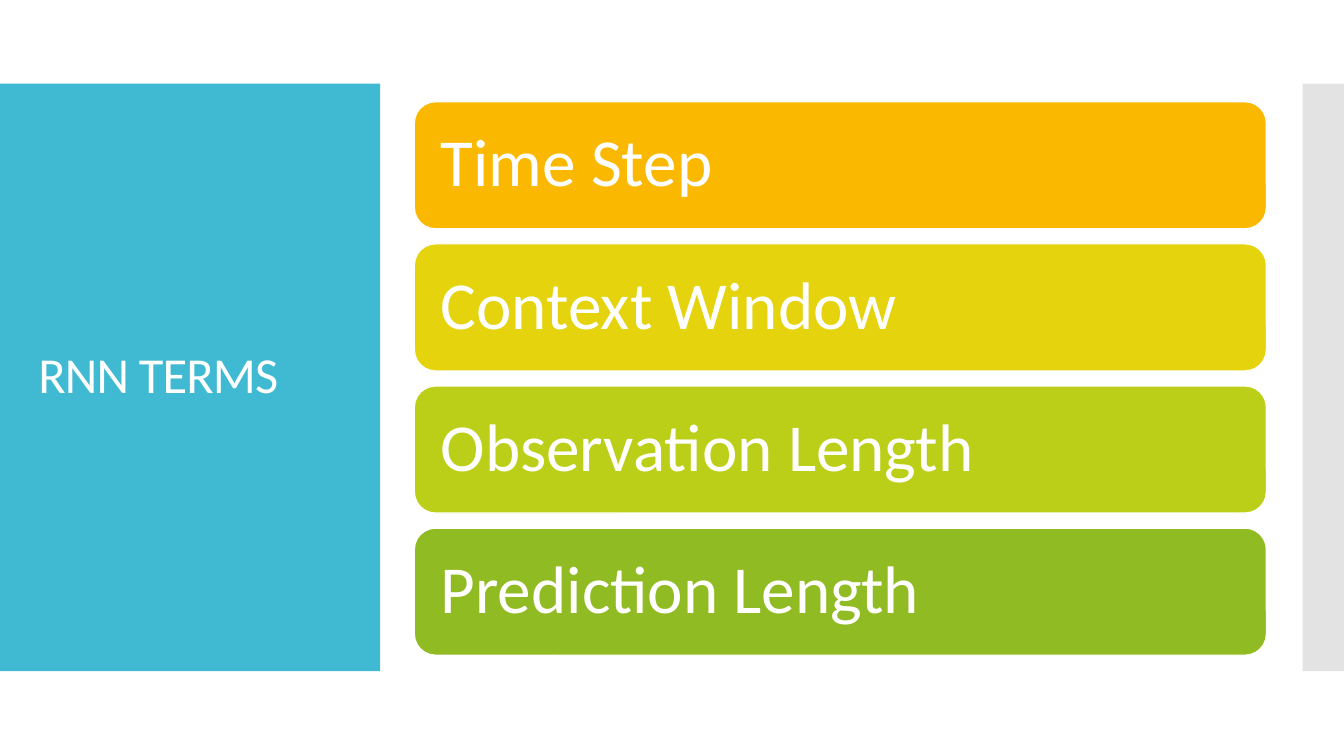
"""Build the RNN terms slide: a title panel beside four stacked term bars."""
from dataclasses import dataclass

from lxml import etree
from pptx import Presentation
from pptx.dml.color import RGBColor
from pptx.enum.shapes import MSO_SHAPE
from pptx.enum.text import MSO_ANCHOR, MSO_AUTO_SIZE, PP_ALIGN
from pptx.oxml.ns import qn
from pptx.util import Pt

RECT, ROUND = MSO_SHAPE.RECTANGLE, MSO_SHAPE.ROUNDED_RECTANGLE
MIDDLE, LEFT, NO_FIT = MSO_ANCHOR.MIDDLE, PP_ALIGN.LEFT, MSO_AUTO_SIZE.NONE

TITLE = "RNN TERMS"
TERMS = [
    ("Time Step", "FAB900"),
    ("Context Window", "E4D30D"),
    ("Observation Length", "BCCF18"),
    ("Prediction Length", "90BB23"),
]


@dataclass(frozen=True)
class Theme:
    """Colours, font and type sizes of the slide."""
    panel: str = "40BAD2"
    strip: str = "C8C8C8"
    white: str = "FFFFFF"
    font: str = "Calibri"
    title: int = 36
    term: int = 48


THEME = Theme()
PX = 9144
SLIDE_W, SLIDE_H = 1333, 750
PANEL_TOP, PANEL_H, PANEL_W = 83, 583, 377
STRIP_X = 1292
BAR_X, BAR_TOP, BAR_W, BAR_H, BAR_GAP = 411, 101, 845, 126, 15
BAR_INSET = 20


def px(*lengths):
    """Turn px lengths into EMU."""
    return [n * PX for n in lengths]


def add_block(s, kind, box, fill, line=None, alpha=None):
    """Add a filled shape, with an optional outline and opacity in percent."""
    sp = s.shapes.add_shape(kind, *px(*box))
    sp.shadow.inherit = False
    sp.fill.solid()
    sp.fill.fore_color.rgb = RGBColor.from_string(fill)
    if line:
        sp.line.color.rgb = RGBColor.from_string(line)
        sp.line.width = Pt(0.85)
    else:
        sp.line.fill.background()
    if alpha:
        clr = next(sp._element.spPr.iter(qn("a:srgbClr")))
        etree.SubElement(clr, qn("a:alpha"), val=str(alpha * 1000))
    return sp


def set_text(sp, text, size, color=THEME.white, inset=None, spacing=None):
    """Write one left-aligned, vertically centred paragraph into a shape."""
    tf = sp.text_frame
    tf.word_wrap = True
    tf.auto_size = NO_FIT
    tf.vertical_anchor = MIDDLE
    if inset:
        tf.margin_left, tf.margin_top, tf.margin_right, tf.margin_bottom = px(*[inset] * 4)
    p = tf.paragraphs[0]
    p.alignment = LEFT
    p.line_spacing = 0.9
    r = p.add_run()
    r.text = text
    r.font.name = THEME.font
    r.font.size = Pt(size)
    r.font.color.rgb = RGBColor.from_string(color)
    if spacing:
        r.font._element.set("spc", str(spacing))


def main():
    """Lay out the slide and save it."""
    prs = Presentation()
    prs.slide_width, prs.slide_height = px(SLIDE_W, SLIDE_H)
    s = prs.slides.add_slide(prs.slide_layouts[5])

    add_block(s, RECT, (0, PANEL_TOP, PANEL_W, PANEL_H), THEME.panel)
    add_block(s, RECT, (STRIP_X, PANEL_TOP, SLIDE_W - STRIP_X, PANEL_H), THEME.strip, alpha=50)

    title = s.shapes.title
    s.shapes._spTree.append(title._element)
    title.left, title.top, title.width, title.height = px(28, 123, 322, 503)
    set_text(title, TITLE, THEME.title, spacing=-60)

    for i, (term, fill) in enumerate(TERMS):
        top = BAR_TOP + i * (BAR_H + BAR_GAP)
        bar = add_block(s, ROUND, (BAR_X, top, BAR_W, BAR_H), fill, line=THEME.white)
        set_text(bar, term, THEME.term, inset=BAR_INSET)

    prs.save("out.pptx")


if __name__ == "__main__":
    main()
